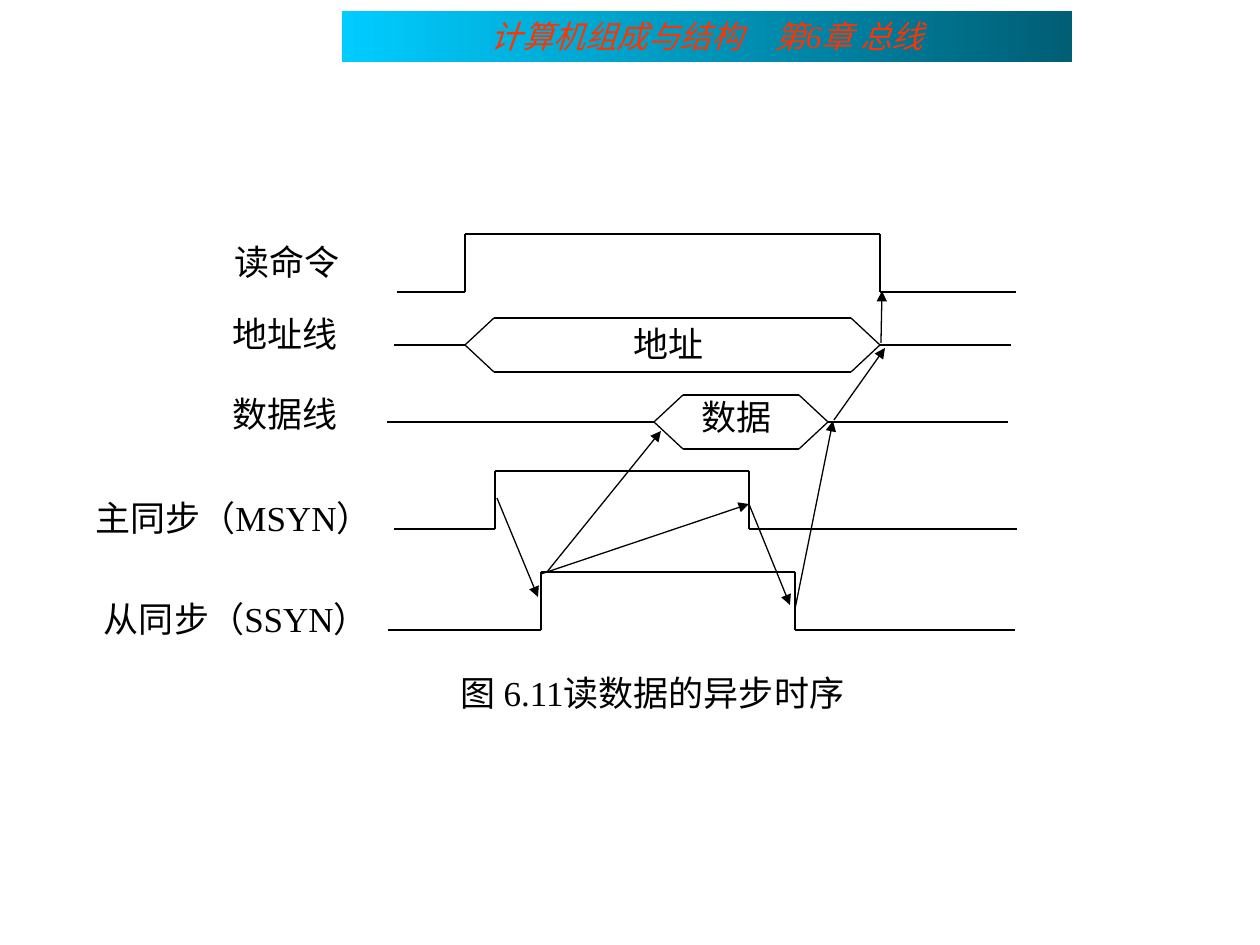
from lxml.etree import SubElement
from pptx import Presentation
from pptx.dml.color import RGBColor
from pptx.enum.shapes import MSO_CONNECTOR, MSO_SHAPE
from pptx.enum.text import MSO_ANCHOR, PP_ALIGN
from pptx.oxml.ns import qn
from pptx.util import Pt

PX = 914400 / 126
FONT = "Times New Roman"
BLACK = RGBColor(0x00, 0x00, 0x00)
WHITE = RGBColor(0xFF, 0xFF, 0xFF)
RED = RGBColor(0xFF, 0x33, 0x00)
DARK_TEAL = RGBColor(0x00, 0x5E, 0x75)
CYAN = RGBColor(0x00, 0xCC, 0xFF)

HEADER = ("计算机组成与结构　第6章 总线", (342, 11, 730, 51))
CAPTION = ("图 6.11读数据的异步时序", (410, 665, 485, 76))

# text, left, top, width
LABELS = [
    ("读命令", 195, 234, 185),
    ("地址线", 193, 306, 185),
    ("数据线", 193, 386, 185),
    ("主同步（MSYN）", 64, 490, 339),
    ("从同步（SSYN）", 67, 591, 339),
    ("地址", 576, 316, 185),
    ("数据", 644, 389, 185),
]
LABEL_HEIGHT = 69

# start, rise, fall, end, low level
PULSES = [
    (397, 465, 880, 1016, 292),
    (394, 495, 749, 1017, 529),
    (388, 541, 795, 1015, 630),
]
PULSE_HEIGHT = 58

# start, left tip, right tip, end, middle level
BUSES = [
    (394, 465, 880, 1011, 345),
    (387, 654, 828, 1008, 422),
]
BUS_HALF_HEIGHT = 27
BUS_SLANT = 29

CAUSES = [
    ((497, 498), (538, 597)),
    ((547, 572), (661, 431)),
    ((541, 574), (749, 504)),
    ((749, 504), (790, 605)),
    ((795, 609), (833, 421)),
    ((834, 420), (885, 348)),
    ((881, 343), (882, 291)),
]


def emu(*lengths):
    return [round(length * PX) for length in lengths]


def add_line(shapes, start, end, arrow=False):
    line = shapes.add_connector(MSO_CONNECTOR.STRAIGHT, *emu(*start, *end))
    line.line.color.rgb = BLACK
    line.line.width = Pt(0.75)
    if arrow:
        SubElement(line.line._get_or_add_ln(), qn("a:tailEnd"), type="triangle")
    SubElement(line._element.spPr, qn("a:effectLst"))


def add_path(shapes, points):
    """Join each point to the next with a straight line."""
    for start, end in zip(points, points[1:]):
        add_line(shapes, start, end)


def write(shape, text, size=20, color=BLACK, italic=None):
    frame = shape.text_frame
    frame.word_wrap = True
    frame.vertical_anchor = MSO_ANCHOR.TOP
    paragraph = frame.paragraphs[0]
    paragraph.alignment = PP_ALIGN.CENTER
    run = paragraph.add_run()
    run.text = text
    run.font.name = FONT
    run.font.size = Pt(size)
    run.font.color.rgb = color
    run.font.italic = italic


def add_rectangle(shapes, box):
    shape = shapes.add_shape(MSO_SHAPE.RECTANGLE, *emu(*box))
    shape.shadow.inherit = False
    return shape


def add_header(shapes):
    text, box = HEADER
    header = add_rectangle(shapes, box)
    header.line.fill.background()
    header.fill.gradient()
    header.fill.gradient_angle = 180
    for stop, color in zip(header.fill.gradient_stops, (DARK_TEAL, CYAN)):
        stop.color.rgb = color
    write(header, text, 18, RED, True)


def add_caption(shapes):
    text, box = CAPTION
    caption = add_rectangle(shapes, box)
    caption.fill.solid()
    caption.fill.fore_color.rgb = WHITE
    caption.line.color.rgb = WHITE
    caption.line.width = Pt(0.75)
    write(caption, text)


def add_pulse(shapes, start, rise, fall, end, low):
    high = low - PULSE_HEIGHT
    add_path(shapes, [(start, low), (rise, low), (rise, high),
                      (fall, high), (fall, low), (end, low)])


def add_bus(shapes, start, left, right, end, middle):
    add_line(shapes, (start, middle), (left, middle))
    for level in (middle - BUS_HALF_HEIGHT, middle + BUS_HALF_HEIGHT):
        add_path(shapes, [(left, middle), (left + BUS_SLANT, level),
                          (right - BUS_SLANT, level), (right, middle)])
    add_line(shapes, (right, middle), (end, middle))


def main():
    presentation = Presentation()
    presentation.slide_width, presentation.slide_height = emu(1260, 945)
    slide = presentation.slides.add_slide(presentation.slide_layouts[6])
    shapes = slide.shapes
    add_header(shapes)
    add_caption(shapes)
    for pulse in PULSES:
        add_pulse(shapes, *pulse)
    for bus in BUSES:
        add_bus(shapes, *bus)
    for text, left, top, width in LABELS:
        write(shapes.add_textbox(*emu(left, top, width, LABEL_HEIGHT)), text)
    for start, end in CAUSES:
        add_line(shapes, start, end, arrow=True)
    presentation.save("out.pptx")


if __name__ == "__main__":
    main()
